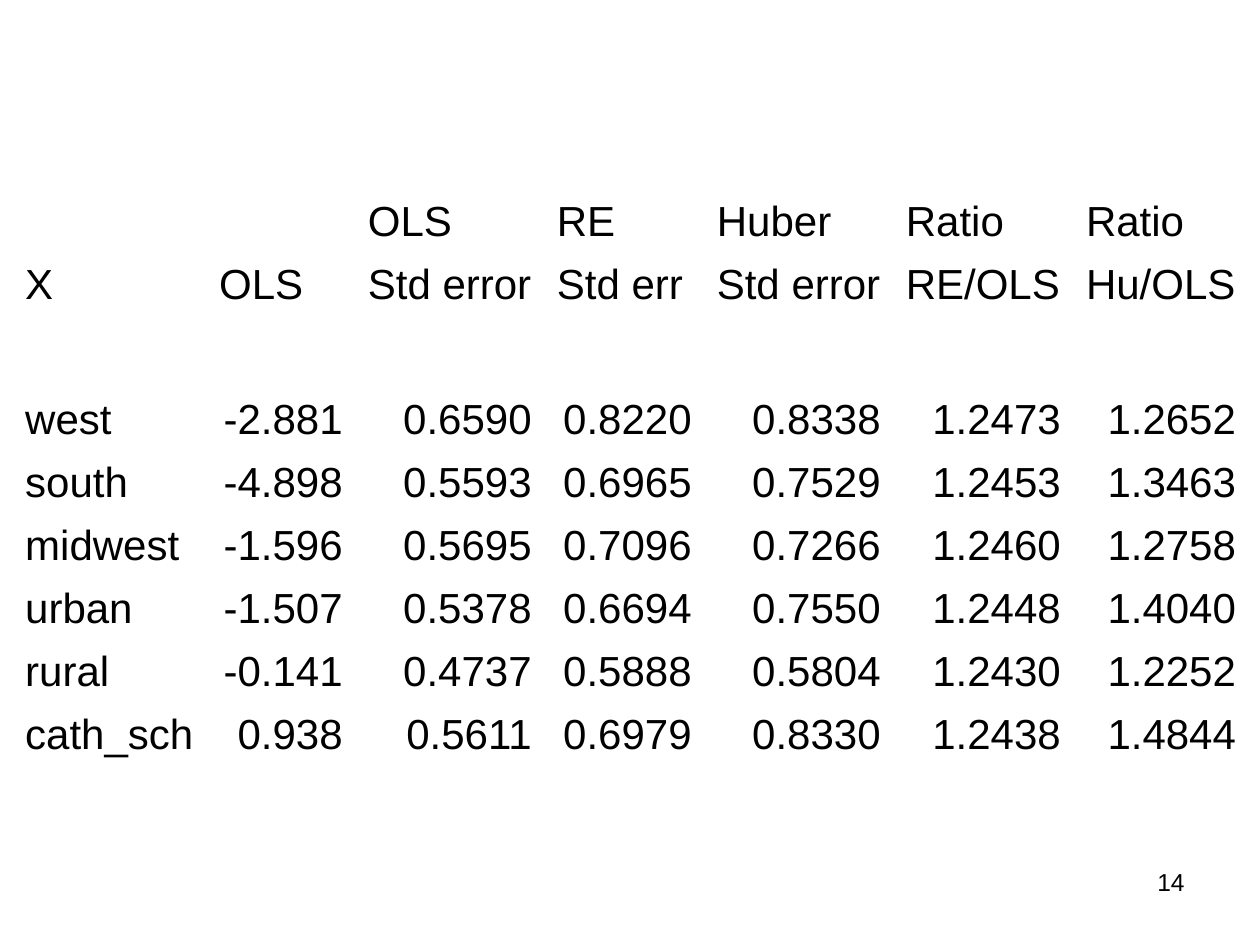
from pptx import Presentation
from pptx.dml.color import RGBColor
from pptx.enum.text import MSO_ANCHOR, PP_ALIGN
from pptx.util import Inches, Pt

BLACK = RGBColor(0x00, 0x00, 0x00)
FONT = "Arial"

HEADINGS = [
    ("", "", "OLS", "RE", "Huber", "Ratio", "Ratio"),
    ("X", "OLS", "Std error", "Std err", "Std error", "RE/OLS", "Hu/OLS"),
    ("",) * 7,
]
ESTIMATES = [
    ("west", "-2.881", "0.6590", "0.8220", "0.8338", "1.2473", "1.2652"),
    ("south", "-4.898", "0.5593", "0.6965", "0.7529", "1.2453", "1.3463"),
    ("midwest", "-1.596", "0.5695", "0.7096", "0.7266", "1.2460", "1.2758"),
    ("urban", "-1.507", "0.5378", "0.6694", "0.7550", "1.2448", "1.4040"),
    ("rural", "-0.141", "0.4737", "0.5888", "0.5804", "1.2430", "1.2252"),
    ("cath_sch", "0.938", "0.5611", "0.6979", "0.8330", "1.2438", "1.4844"),
]
PAGE_NUMBER = "14"
COLUMN_WIDTHS = (1.54, 1.18, 1.5, 1.27, 1.5, 1.43, 1.39)
ROW_HEIGHTS = (0.57, 0.5, 0.57) + (0.5,) * len(ESTIMATES)


def write(frame, text, size=24, align=PP_ALIGN.LEFT):
    paragraph = frame.paragraphs[0]
    paragraph.alignment = align
    run = paragraph.add_run()
    run.text = text
    run.font.name = FONT
    run.font.size = Pt(size)
    run.font.bold = False
    run.font.color.rgb = BLACK


def add_estimates(slide):
    rows = HEADINGS + ESTIMATES
    table = slide.shapes.add_table(
        len(rows), len(COLUMN_WIDTHS), Inches(0.1), Inches(1.43),
        Inches(sum(COLUMN_WIDTHS)), Inches(sum(ROW_HEIGHTS)),
    ).table
    table.first_row = False
    table.horz_banding = False
    for column, width in zip(table.columns, COLUMN_WIDTHS):
        column.width = Inches(width)
    for r, (values, height) in enumerate(zip(rows, ROW_HEIGHTS)):
        table.rows[r].height = Inches(height)
        for c, value in enumerate(values):
            cell = table.cell(r, c)
            cell.fill.background()
            cell.vertical_anchor = MSO_ANCHOR.BOTTOM
            if value:
                numeric = r >= len(HEADINGS) and c > 0
                write(cell.text_frame, value,
                      align=PP_ALIGN.RIGHT if numeric else PP_ALIGN.LEFT)


def main():
    deck = Presentation()
    deck.slide_width, deck.slide_height = Inches(10), Inches(7.5)
    slide = deck.slides.add_slide(deck.slide_layouts[6])
    page = slide.shapes.add_textbox(
        Inches(7.17), Inches(6.83), Inches(2.33), Inches(0.52)).text_frame
    page.word_wrap = True
    write(page, PAGE_NUMBER, size=14, align=PP_ALIGN.RIGHT)
    add_estimates(slide)
    deck.save("out.pptx")


if __name__ == "__main__":
    main()
